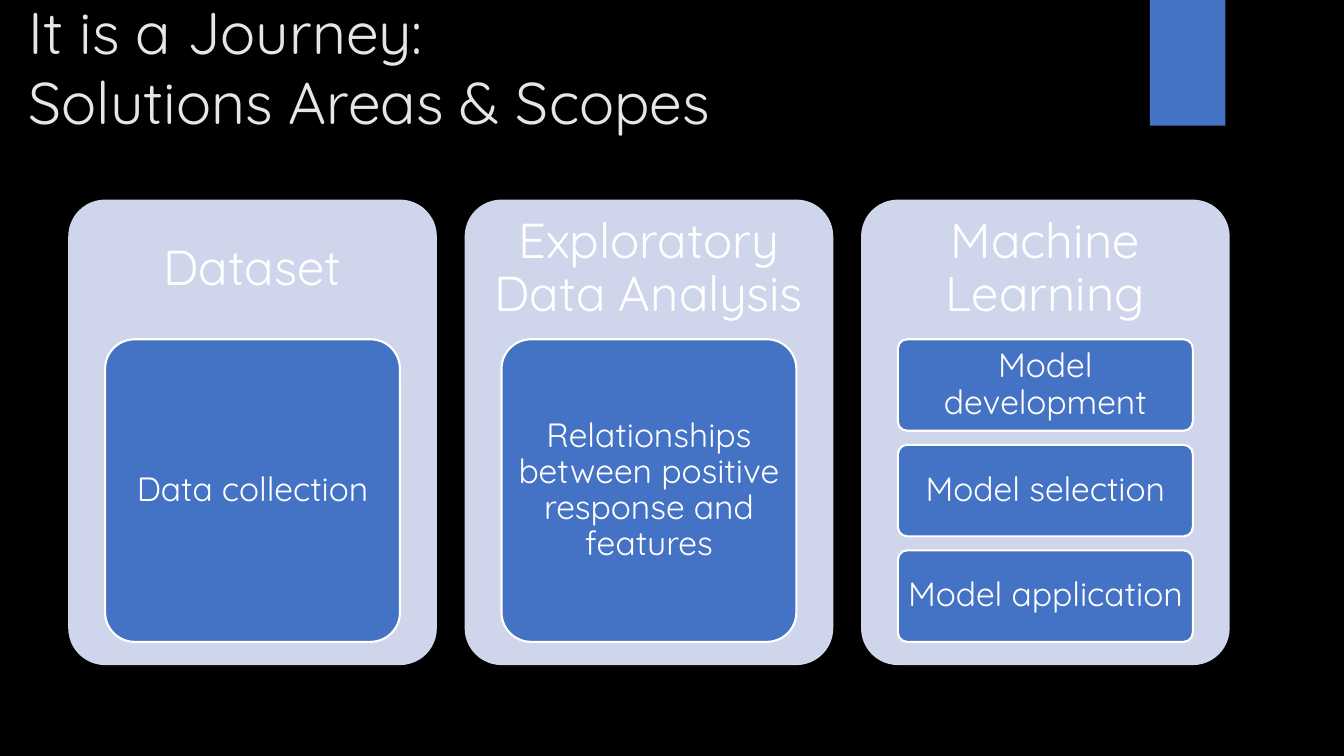
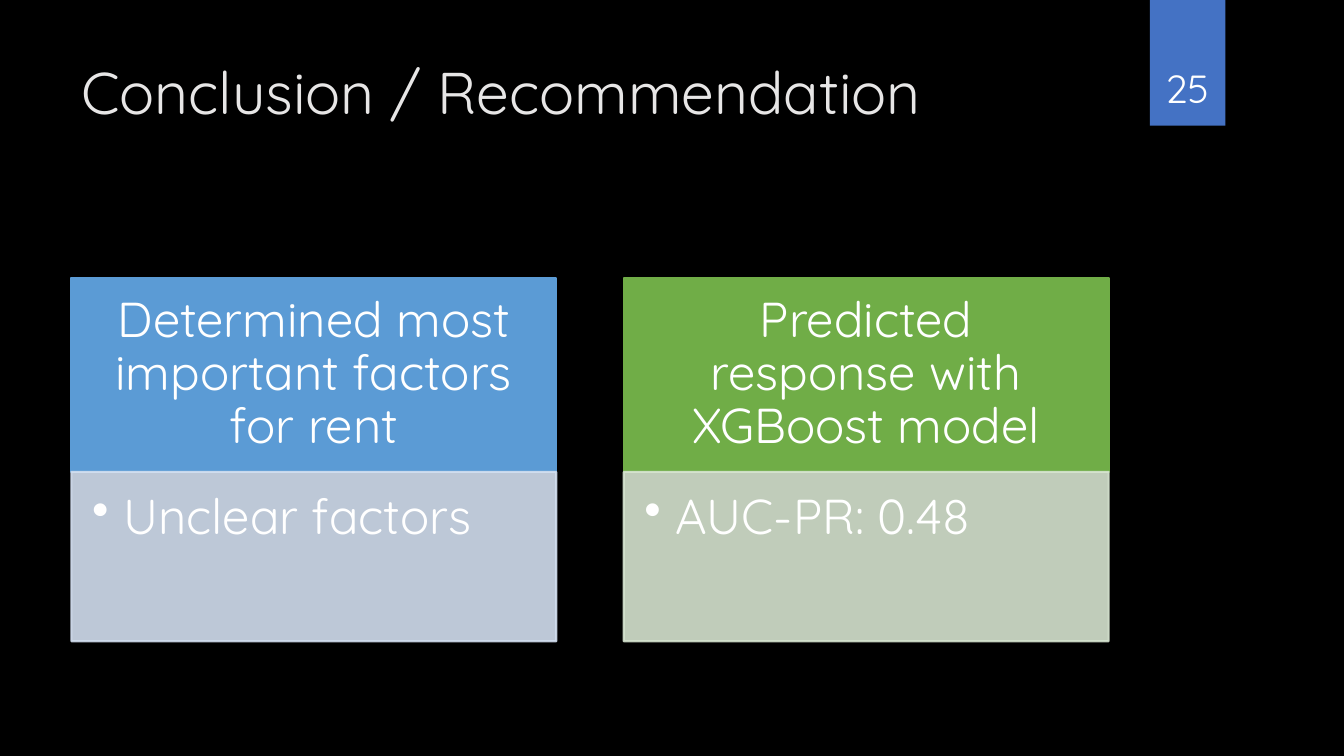
from collections import namedtuple

from lxml import etree
from pptx import Presentation
from pptx import util as u
from pptx.dml.color import RGBColor
from pptx.enum import shapes, text
from pptx.oxml import ns

FONT = "Quicksand"
COLOURS = {
    "background": "000000",
    "title": "E7E6E6",
    "text": "FFFFFF",
    "accent": "4472C4",
    "panel": "CFD5EA",
    "blue": "5B9BD5",
    "pale blue": "D2DEEF",
    "green": "70AD47",
    "pale green": "D5E3CF",
}
TITLE_SIZE, HEADING_SIZE, ITEM_SIZE, NUMBER_SIZE = 42, 35, 24, 28
CORNER = 0.1
LINE_WIDTH = 1.5
BODY_OPACITY = 90
DEFAULT_INSETS = (0.25, 0.13, 0.25, 0.13)
HEADING_INSETS = (0.38, 0.38, 0.38, 0.38)
ITEM_INSETS = (0.16, 0.13, 0.16, 0.13)
CARD_HEAD_INSETS = (0.69, 0.4, 0.69, 0.4)
CARD_BODY_INSETS = (0.52, 0.52, 0.69, 0.78)
BULLET_INDENT = 0.79

# Box lengths are centimetres.
Box = namedtuple("Box", "left top width height")

SCOPES = [
    ("Dataset", ["Data collection"]),
    ("Exploratory Data Analysis",
     ["Relationships between positive response and features"]),
    ("Machine Learning",
     ["Model development", "Model selection", "Model application"]),
]
CONCLUSIONS = [
    ("Determined most important factors for rent", "Unclear factors",
     "blue", "pale blue"),
    ("Predicted response with XGBoost model", "AUC-PR: 0.48",
     "green", "pale green"),
]


def colour(name):
    return RGBColor.from_string(COLOURS[name])


def in_cm(box):
    return [u.Cm(length) for length in box]


def write(shape, words, size, insets=DEFAULT_INSETS, name="text", spacing=None,
          align=text.PP_ALIGN.CENTER, anchor=text.MSO_ANCHOR.MIDDLE):
    frame = shape.text_frame
    frame.word_wrap = True
    frame.vertical_anchor = anchor
    (frame.margin_left, frame.margin_top,
     frame.margin_right, frame.margin_bottom) = in_cm(insets)
    paragraph = frame.paragraphs[0]
    paragraph.text = words
    paragraph.alignment = align
    paragraph.line_spacing = spacing
    paragraph.font.name = FONT
    paragraph.font.size = u.Pt(size)
    paragraph.font.color.rgb = colour(name)
    return paragraph


def add_text(slide, box, words, size, **style):
    return write(slide.shapes.add_textbox(*in_cm(box)), words, size, **style)


def add_block(slide, box, fill, line=None, rounded=False):
    kinds = shapes.MSO_SHAPE
    kind = kinds.ROUNDED_RECTANGLE if rounded else kinds.RECTANGLE
    block = slide.shapes.add_shape(kind, *in_cm(box))
    block.shadow.inherit = False
    if rounded:
        block.adjustments[0] = CORNER
    block.fill.solid()
    block.fill.fore_color.rgb = colour(fill)
    if line:
        block.line.color.rgb = colour(line)
        block.line.width = u.Pt(LINE_WIDTH)
    else:
        block.line.fill.background()
    return block


def set_opacity(block, percent):
    """Make both the fill and the outline of a block translucent."""
    for element in block.fill._xPr.iter(ns.qn("a:srgbClr")):
        etree.SubElement(element, ns.qn("a:alpha"), val=str(percent * 1000))


def add_bullet(paragraph):
    properties = paragraph._p.get_or_add_pPr()
    indent = u.Cm(BULLET_INDENT)
    properties.set("marL", str(indent))
    properties.set("indent", str(-indent))
    etree.SubElement(properties, ns.qn("a:buChar"), char="•")


def add_base_slide(presentation, title, title_box, number=None):
    """Add a slide with the title and corner band that all slides share."""
    slide = presentation.slides.add_slide(presentation.slide_layouts[6])
    add_block(slide, Box(28.98, 0, 1.9, 3.17), "accent")
    add_text(slide, title_box, title, TITLE_SIZE, name="title",
             align=text.PP_ALIGN.LEFT, anchor=text.MSO_ANCHOR.TOP)
    if number:
        add_text(slide, Box(28.75, 0.81, 2.34, 2.13), number, NUMBER_SIZE,
                 anchor=text.MSO_ANCHOR.BOTTOM)
    return slide


def add_scope_column(slide, box, heading, items):
    """Draw a panel: heading in the top 30 %, items stacked in the next 65 %."""
    add_block(slide, box, "panel", rounded=True)
    heading_height = 0.3 * box.height
    add_text(slide, box._replace(height=heading_height), heading, HEADING_SIZE,
             insets=HEADING_INSETS, spacing=0.9)
    gap_ratio = 2 / 13
    count = len(items)
    height = 0.65 * box.height / (count + gap_ratio * (count - 1))
    for index, item in enumerate(items):
        top = box.top + heading_height + index * height * (1 + gap_ratio)
        item_box = Box(box.left + 0.1 * box.width, top, 0.8 * box.width, height)
        block = add_block(slide, item_box, "accent", line="text", rounded=True)
        write(block, item, ITEM_SIZE, insets=ITEM_INSETS, spacing=0.9)


def add_conclusion_card(slide, box, heading, point, strong, pale):
    head_height = 4.88
    head = add_block(slide, box._replace(height=head_height), strong, line=strong)
    write(head, heading, HEADING_SIZE, insets=CARD_HEAD_INSETS, spacing=0.9)
    body_box = box._replace(top=box.top + head_height,
                            height=box.height - head_height)
    body = add_block(slide, body_box, pale, line=pale)
    set_opacity(body, BODY_OPACITY)
    add_bullet(write(body, point, HEADING_SIZE, insets=CARD_BODY_INSETS,
                     spacing=0.9, align=text.PP_ALIGN.LEFT,
                     anchor=text.MSO_ANCHOR.TOP))


def add_row(slide, first_box, pitch, draw, entries):
    """Draw one entry after another at an equal horizontal pitch."""
    for index, entry in enumerate(entries):
        left = first_box.left + index * pitch
        draw(slide, first_box._replace(left=left), *entry)


def add_journey_slide(presentation):
    slide = add_base_slide(presentation,
                           "It is a Journey:\nSolutions Areas & Scopes",
                           Box(0.48, -0.25, 31.78, 4.22))
    add_row(slide, Box(1.72, 5.03, 9.29, 11.73), 9.99, add_scope_column, SCOPES)


def add_conclusion_slide(presentation):
    slide = add_base_slide(presentation, "Conclusion / Recommendation",
                           Box(1.8, 1.27, 26.14, 3.89), number="25")
    add_row(slide, Box(1.8, 7.01, 12.22, 9.15), 13.92, add_conclusion_card,
            CONCLUSIONS)


def main():
    presentation = Presentation()
    presentation.slide_width = u.Cm(33.87)
    presentation.slide_height = u.Cm(19.05)
    background = presentation.slide_master.background.fill
    background.solid()
    background.fore_color.rgb = colour("background")
    add_journey_slide(presentation)
    add_conclusion_slide(presentation)
    presentation.save("out.pptx")


if __name__ == "__main__":
    main()
